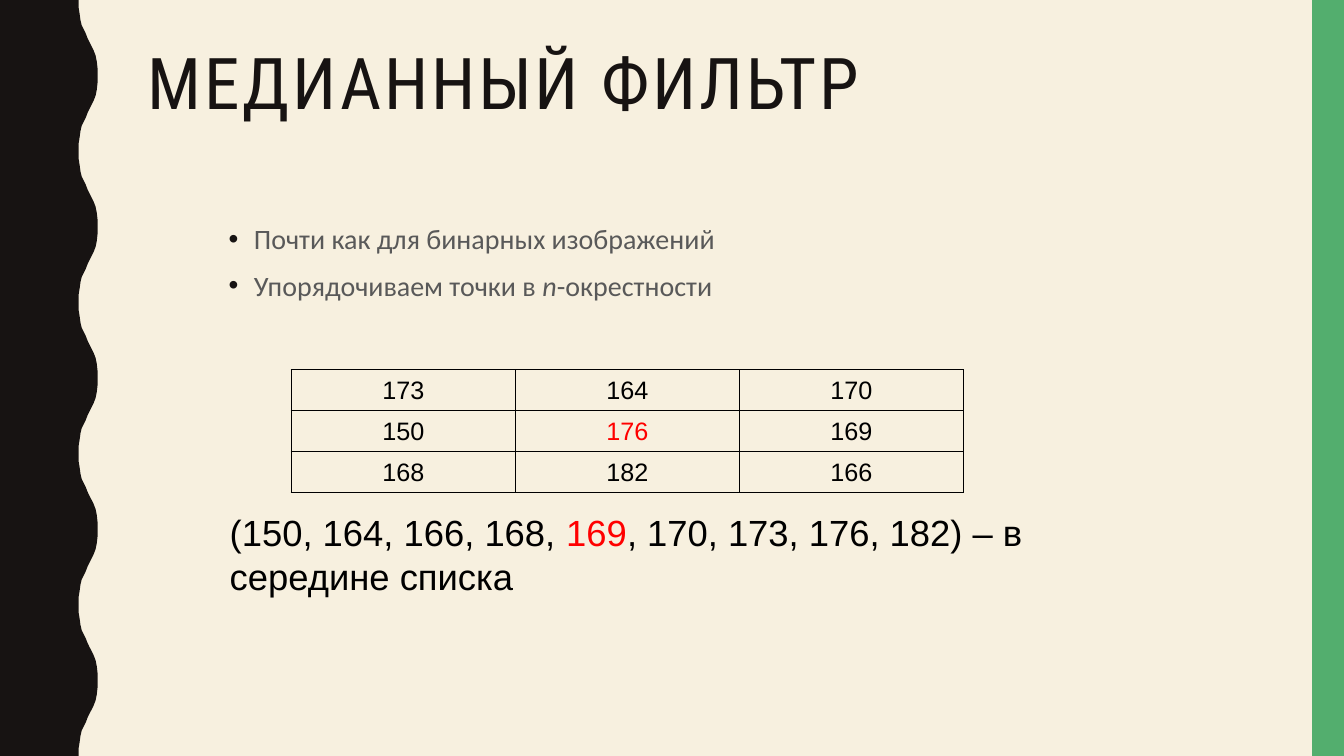
from dataclasses import dataclass

from lxml.etree import SubElement
from pptx import Presentation
from pptx.dml.color import RGBColor
from pptx.enum.shapes import MSO_SHAPE
from pptx.enum.text import MSO_ANCHOR, PP_ALIGN
from pptx.oxml import parse_xml
from pptx.oxml.ns import nsdecls, qn
from pptx.util import Cm, Pt


@dataclass(frozen=True)
class Theme:
    """Colours, fonts and type sizes of the slide."""
    paper: str = "F7F0DF"
    ink: str = "171312"
    green: str = "53AE6E"
    grey: str = "595959"
    black: str = "000000"
    red: str = "FF0000"
    title_font: str = "Roboto Condensed"
    body_font: str = "Calibri"
    data_font: str = "Arial"
    title_size: float = 51
    body_size: float = 20
    cell_size: float = 18
    result_size: float = 26


@dataclass(frozen=True)
class Frame:
    """Position and size in centimetres."""
    left: float
    top: float
    width: float
    height: float

    def emu(self) -> tuple:
        """Return the four lengths for python-pptx."""
        return Cm(self.left), Cm(self.top), Cm(self.width), Cm(self.height)


@dataclass(frozen=True)
class Style:
    """Look of a run of text."""
    font: str
    size: float
    color: str


@dataclass(frozen=True)
class Span:
    """A piece of text with its own emphasis."""
    text: str
    color: str = ""
    italic: bool = False


THEME = Theme()
TITLE = Style(THEME.title_font, THEME.title_size, THEME.ink)
BODY = Style(THEME.body_font, THEME.body_size, THEME.grey)
CELL = Style(THEME.data_font, THEME.cell_size, THEME.black)
RESULT = Style(THEME.data_font, THEME.result_size, THEME.black)

WIDTH, HEIGHT = 33.87, 19.05
WAVE_COUNT = 5
WAVE_RISE = [
    (1.98, 0), (1.98, 0.18), (2.01, 0.36), (2.03, 0.51), (2.06, 0.64),
    (2.11, 0.74), (2.16, 0.84), (2.21, 0.97), (2.26, 1.07), (2.31, 1.17),
    (2.36, 1.27), (2.41, 1.4), (2.44, 1.55), (2.46, 1.73), (2.46, 1.9),
]
BULLETS = [
    [Span("Почти как для бинарных изображений")],
    [Span("Упорядочиваем точки в "), Span("n", italic=True), Span("-окрестности")],
]
NEIGHBOURS = [[173, 164, 170], [150, 176, 169], [168, 182, 166]]
CENTRE = (1, 1)
SORTED_LIST = [
    Span("(150, 164, 166, 168, "),
    Span("169", THEME.red),
    Span(", 170, 173, 176, 182) – в середине списка"),
]


def paint(shape, color: str) -> None:
    """Fill a shape with one flat colour."""
    shape.fill.solid()
    shape.fill.fore_color.rgb = RGBColor.from_string(color)
    shape.line.fill.background()
    shape.shadow.inherit = False


def write(para, spans: list[Span], style: Style) -> None:
    """Add styled runs to a paragraph."""
    for span in spans:
        run = para.add_run()
        run.text = span.text
        run.font.name = style.font
        run.font.size = Pt(style.size)
        run.font.italic = span.italic
        run.font.color.rgb = RGBColor.from_string(span.color or style.color)


def add_text(page, frame: Frame, lines: list[list[Span]], style: Style,
             spacing: float = 1, before: float = 0) -> list:
    """Add a wrapped text box and return its paragraphs."""
    box = page.shapes.add_textbox(*frame.emu()).text_frame
    box.word_wrap = True
    for index, spans in enumerate(lines):
        para = box.add_paragraph() if index else box.paragraphs[0]
        para.line_spacing = spacing
        para.space_before = Pt(before)
        write(para, spans, style)
    return list(box.paragraphs)


def add_bullet(para, color: str) -> None:
    """Give a paragraph a hanging round bullet."""
    properties = para._p.get_or_add_pPr()
    properties.set("marL", str(Cm(0.64)))
    properties.set("indent", str(-Cm(0.64)))
    tint = SubElement(properties, qn("a:buClr"))
    SubElement(tint, qn("a:srgbClr"), val=color)
    SubElement(properties, qn("a:buFont"), typeface="Arial")
    SubElement(properties, qn("a:buChar"), char="•")


def add_wave(page) -> None:
    """Draw the dark band with a wavy right edge."""
    period = HEIGHT / WAVE_COUNT
    wave = WAVE_RISE + [(x, period - y) for x, y in reversed(WAVE_RISE)]
    edge = [(x, turn * period + y) for turn in range(WAVE_COUNT) for x, y in wave]
    builder = page.shapes.build_freeform(0, 0)
    outline = edge + [(0, HEIGHT)]
    builder.add_line_segments([(Cm(x), Cm(y)) for x, y in outline], close=True)
    paint(builder.convert_to_shape(), THEME.ink)


def add_borders(cell) -> None:
    """Draw a thin black line on every side of a cell."""
    properties = cell._tc.get_or_add_tcPr()
    for index, side in enumerate(("lnL", "lnR", "lnT", "lnB")):
        properties.insert(index, parse_xml(
            f'<a:{side} {nsdecls("a")} w="{Pt(1)}"><a:solidFill>'
            f'<a:srgbClr val="{THEME.black}"/></a:solidFill></a:{side}>'))


def add_neighbourhood(page, frame: Frame) -> None:
    """Add the grid of pixel values with its centre in red."""
    rows, columns = len(NEIGHBOURS), len(NEIGHBOURS[0])
    table = page.shapes.add_table(rows, columns, *frame.emu()).table
    table.first_row = table.horz_banding = False
    for row, values in enumerate(NEIGHBOURS):
        for column, value in enumerate(values):
            cell = table.cell(row, column)
            cell.fill.background()
            cell.vertical_anchor = MSO_ANCHOR.MIDDLE
            add_borders(cell)
            para = cell.text_frame.paragraphs[0]
            para.alignment = PP_ALIGN.CENTER
            color = THEME.red if (row, column) == CENTRE else THEME.black
            write(para, [Span(str(value), color)], CELL)


def main() -> None:
    """Build the slide and save it."""
    deck = Presentation()
    deck.slide_width, deck.slide_height = Cm(WIDTH), Cm(HEIGHT)
    page = deck.slides.add_slide(deck.slide_layouts[6])
    page.background.fill.solid()
    page.background.fill.fore_color.rgb = RGBColor.from_string(THEME.paper)

    add_wave(page)
    stripe = Frame(33.07, 0, 0.8, HEIGHT)
    paint(page.shapes.add_shape(MSO_SHAPE.RECTANGLE, *stripe.emu()), THEME.green)

    heading = add_text(page, Frame(3.48, 1.07, 28.27, 4.14),
                       [[Span("МЕДИАННЫЙ ФИЛЬТР")]], TITLE, spacing=0.9)
    heading[0].runs[0].font._element.set("spc", "200")
    for para in add_text(page, Frame(5.51, 5.38, 22.86, 3.15), BULLETS, BODY,
                         spacing=1.1, before=7):
        add_bullet(para, THEME.ink)
    add_neighbourhood(page, Frame(7.34, 9.32, 16.94, 3.1))
    add_text(page, Frame(5.54, 12.73, 22.86, 3.15), [SORTED_LIST], RESULT, before=5)
    deck.save("out.pptx")


if __name__ == "__main__":
    main()
